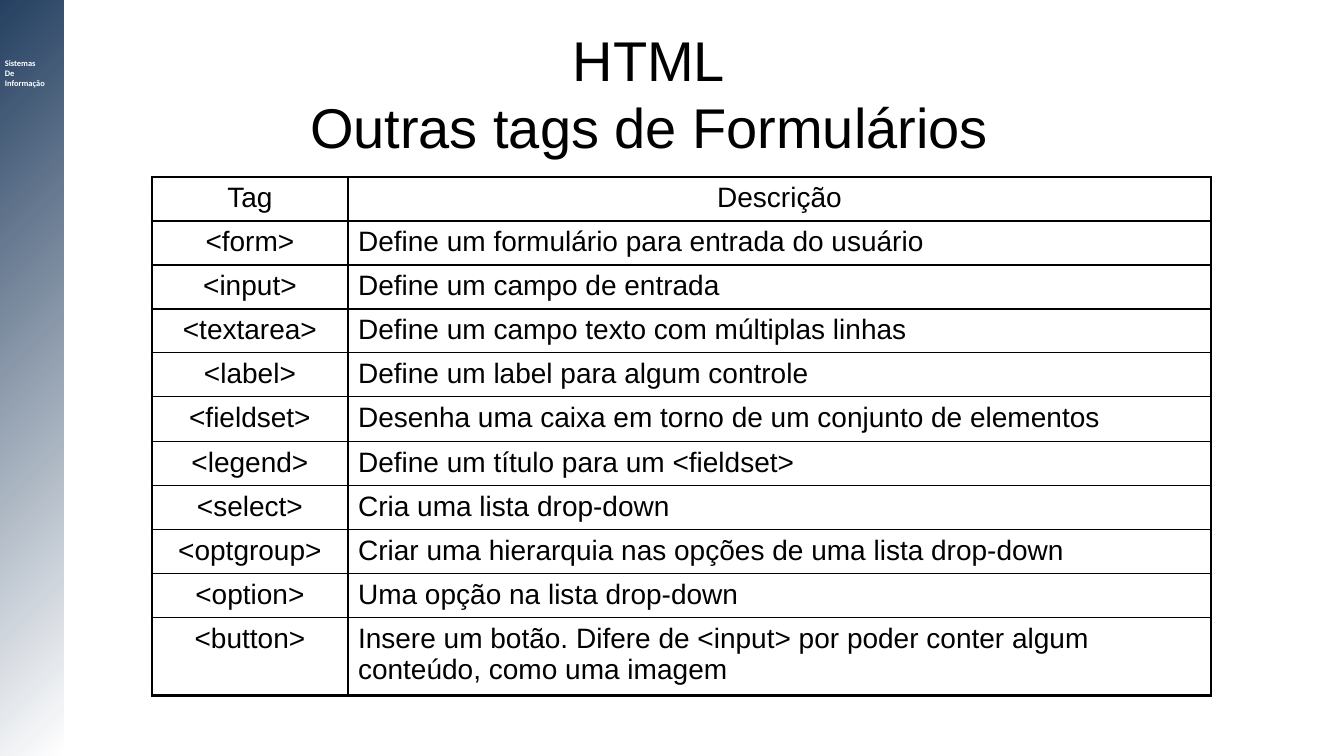
from lxml import etree
from pptx import Presentation
from pptx.dml.color import RGBColor
from pptx.enum.shapes import MSO_SHAPE
from pptx.enum.text import MSO_ANCHOR, MSO_AUTO_SIZE, PP_ALIGN
from pptx.oxml.ns import qn
from pptx.util import Pt

RECTANGLE = MSO_SHAPE.RECTANGLE
MIDDLE = MSO_ANCHOR.MIDDLE
NO_AUTOFIT = MSO_AUTO_SIZE.NONE
CENTER, LEFT = PP_ALIGN.CENTER, PP_ALIGN.LEFT

EMU_PER_PX = 914400 / 100.8
COLORS = {"ink": "000000", "paper": "FFFFFF", "navy": "254061"}
OUTER_BORDER, INNER_BORDER = Pt(2.21), Pt(0.96)
TITLE_ONLY_LAYOUT = 5

COLUMN_WIDTHS = [196, 863]
ROW_HEIGHT = 44
ROW_HEIGHTS = {5: 45, 10: 78}
TAGS = [
    ("Tag", "Descrição"),
    ("<form>", "Define um formulário para entrada do usuário"),
    ("<input>", "Define um campo de entrada"),
    ("<textarea>", "Define um campo texto com múltiplas linhas"),
    ("<label>", "Define um label para algum controle"),
    ("<fieldset>", "Desenha uma caixa em torno de um conjunto de elementos"),
    ("<legend>", "Define um título para um <fieldset>"),
    ("<select>", "Cria uma lista drop-down"),
    ("<optgroup>", "Criar uma hierarquia nas opções de uma lista drop-down"),
    ("<option>", "Uma opção na lista drop-down"),
    ("<button>", "Insere um botão. Difere de <input> por poder conter algum "
                 "conteúdo, como uma imagem"),
]


def px(*lengths):
    return [round(length * EMU_PER_PX) for length in lengths]


def color(name):
    return RGBColor.from_string(COLORS[name])


def write(frame, text, size, font, ink, align=LEFT, bold=False, before=0):
    frame.text = text
    for paragraph in frame.paragraphs:
        paragraph.alignment = align
        paragraph.space_before = Pt(before)
        for run in paragraph.runs:
            run.font.size = Pt(size)
            run.font.name = font
            run.font.bold = bold
            run.font.color.rgb = color(ink)


def add_sidebar(slide):
    band = slide.shapes.add_shape(RECTANGLE, *px(0, 0, 64, 756))
    band.shadow.inherit = False
    band.line.fill.background()
    band.fill.gradient()
    band.fill.gradient_angle = 135
    for stop, name in zip(band.fill.gradient_stops, ("paper", "navy")):
        stop.color.rgb = color(name)

    course = slide.shapes.add_textbox(*px(-5, 53, 101, 56))
    course.text_frame.word_wrap = True
    write(course.text_frame, "Sistemas\nDe\nInformação", 6, "Calibri", "paper", bold=True)


def place_title(slide):
    title = slide.shapes.title
    title.left, title.top, title.width, title.height = px(219, 30, 860, 126)
    frame = title.text_frame
    frame.auto_size = NO_AUTOFIT
    frame.vertical_anchor = MIDDLE
    write(frame, "HTML\vOutras tags de Formulários", 40, "Arial", "ink", CENTER)


def set_border(cell, side, width):
    line = etree.SubElement(cell._tc.get_or_add_tcPr(), qn(f"a:{side}"), w=str(width))
    fill = etree.SubElement(line, qn("a:solidFill"))
    etree.SubElement(fill, qn("a:srgbClr"), val=COLORS["ink"])


def add_tag_table(slide):
    heights = [ROW_HEIGHTS.get(row, ROW_HEIGHT) for row in range(len(TAGS))]
    frame = slide.shapes.add_table(
        len(TAGS), len(COLUMN_WIDTHS),
        *px(152, 177, sum(COLUMN_WIDTHS), sum(heights)))
    table = frame.table
    for column, width in zip(table.columns, px(*COLUMN_WIDTHS)):
        column.width = width
    for row, height in zip(table.rows, px(*heights)):
        row.height = height

    last_row, last_column = len(TAGS) - 1, len(COLUMN_WIDTHS) - 1
    for row, texts in enumerate(TAGS):
        for column, text in enumerate(texts):
            cell = table.cell(row, column)
            align = CENTER if row == 0 or column == 0 else LEFT
            write(cell.text_frame, text, 20, "Arial", "ink", align, before=4)
            edges = {"lnL": column == 0, "lnR": column == last_column,
                     "lnT": row == 0, "lnB": row == last_row}
            for side, outer in edges.items():
                set_border(cell, side, OUTER_BORDER if outer else INNER_BORDER)
            cell.fill.background()


def main():
    deck = Presentation()
    deck.slide_width, deck.slide_height = px(1344, 756)
    slide = deck.slides.add_slide(deck.slide_layouts[TITLE_ONLY_LAYOUT])
    add_sidebar(slide)
    place_title(slide)
    add_tag_table(slide)
    deck.save("out.pptx")


if __name__ == "__main__":
    main()
